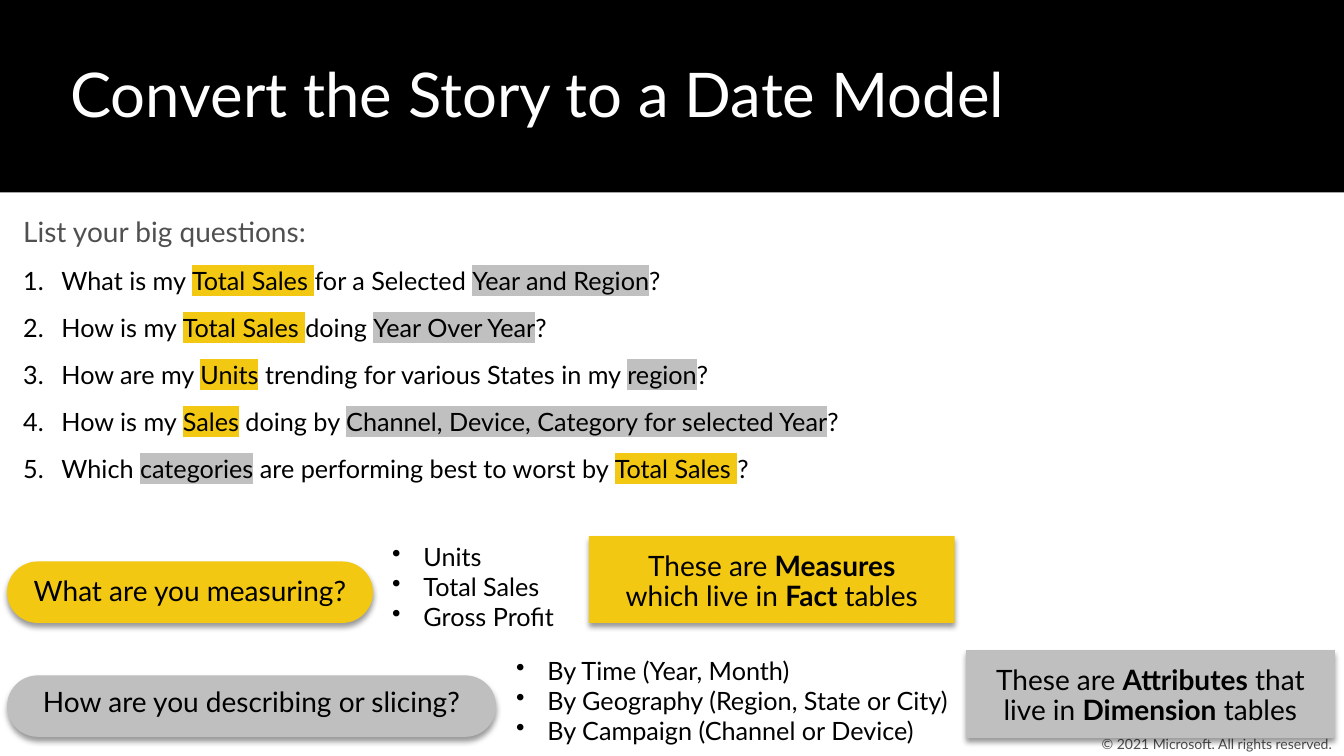
from lxml import etree
from pptx import Presentation
from pptx.dml.color import RGBColor
from pptx.enum.shapes import MSO_SHAPE
from pptx.enum.text import MSO_ANCHOR, PP_ALIGN
from pptx.oxml.ns import qn
from pptx.util import Inches, Pt

RECT, PILL = MSO_SHAPE.RECTANGLE, MSO_SHAPE.ROUNDED_RECTANGLE
TOP, MIDDLE = MSO_ANCHOR.TOP, MSO_ANCHOR.MIDDLE
LEFT, CENTER = PP_ALIGN.LEFT, PP_ALIGN.CENTER
BLACK = RGBColor(0x00, 0x00, 0x00)
WHITE = RGBColor(0xFF, 0xFF, 0xFF)
SLATE = RGBColor(0x50, 0x50, 0x50)
YELLOW = RGBColor(0xF2, 0xC8, 0x12)
GRAY = RGBColor(0xBF, 0xBF, 0xBF)
MARK_GRAY = RGBColor(0xC0, 0xC0, 0xC0)
FONT = "Lato"
ROOMY = (0.2, 0.16, 0.2, 0.16)
NONE = (0, 0, 0, 0)

TITLE = "Convert the Story to a Date Model"
COPYRIGHT = "© 2021 Microsoft. All rights reserved. "
HEADING = "List your big questions:"
MEASURE, ATTRIBUTE = YELLOW, MARK_GRAY
QUESTIONS = [
    [("What is my ", None), ("Total Sales ", MEASURE), ("for a Selected ", None),
     ("Year and Region", ATTRIBUTE), ("?", None)],
    [("How is my ", None), ("Total Sales ", MEASURE), ("doing ", None),
     ("Year Over Year", ATTRIBUTE), ("?", None)],
    [("How are my ", None), ("Units", MEASURE),
     (" trending for various States in my ", None), ("region", ATTRIBUTE), ("?", None)],
    [("How is my ", None), ("Sales", MEASURE), (" doing by ", None),
     ("Channel, Device, Category for selected Year", ATTRIBUTE), ("?", None)],
    [("Which ", None), ("categories", ATTRIBUTE),
     (" are performing best to worst by ", None), ("Total Sales ", MEASURE), ("?", None)],
]
BULLET_LISTS = [
    ((3.69, 5.21, 2.45, 1.5), ["Units", "Total Sales", "Gross Profit"]),
    ((4.92, 6.34, 4.85, 1.5), ["By Time (Year, Month)",
                               "By Geography (Region, State or City)",
                               "By Campaign (Channel or Device)"]),
]
CARDS = [
    (PILL, (0.07, 5.57, 3.63, 0.61), YELLOW, NONE, MIDDLE, 0.9,
     [("What are you measuring?", False)]),
    (PILL, (0.07, 6.7, 4.85, 0.61), GRAY, NONE, TOP, 1.0,
     [("How are you describing or slicing?", False)]),
    (RECT, (5.84, 5.32, 3.63, 0.86), YELLOW, ROOMY, TOP, 0.9,
     [("These are ", False), ("Measures", True), (" which live in ", False),
      ("Fact", True), (" tables", False)]),
    (RECT, (9.58, 6.45, 3.66, 0.87), GRAY, ROOMY, TOP, 0.9,
     [("These are ", False), ("Attributes", True), (" that live in ", False),
      ("Dimension", True), (" tables", False)]),
]


def set_frame(shape, insets, anchor=TOP):
    frame = shape.text_frame
    frame.word_wrap = True
    frame.vertical_anchor = anchor
    (frame.margin_left, frame.margin_top,
     frame.margin_right, frame.margin_bottom) = map(Inches, insets)
    return frame


def add_text_box(page, area, insets, anchor=TOP):
    return set_frame(page.shapes.add_textbox(*map(Inches, area)), insets, anchor)


def add_shape(page, kind, area, fill):
    shape = page.shapes.add_shape(kind, *map(Inches, area))
    shape.shadow.inherit = False
    shape.fill.solid()
    shape.fill.fore_color.rgb = fill
    shape.line.fill.background()
    return shape


def add_shadow(shape):
    effects = shape.element.spPr.find(qn("a:effectLst"))
    shadow = etree.SubElement(effects, qn("a:outerShdw"), blurRad=str(Pt(4)),
                              dist=str(Pt(3)), dir="5400000", algn="t", rotWithShape="0")
    color = etree.SubElement(shadow, qn("a:srgbClr"), val=str(BLACK))
    etree.SubElement(color, qn("a:alpha"), val="40000")


def next_para(frame, align=LEFT):
    first = frame.paragraphs[0]
    para = frame.add_paragraph() if first.runs else first
    para.alignment = align
    return para


def add_span(para, text, size, color=BLACK, bold=False, mark=None):
    span = para.add_run()
    span.text = text
    span.font.name = FONT
    span.font.size = Pt(size)
    span.font.bold = bold
    span.font.color.rgb = color
    if mark is not None:
        highlight = etree.Element(qn("a:highlight"))
        etree.SubElement(highlight, qn("a:srgbClr"), val=str(mark))
        span.font.fill
        span._r.rPr.find(qn("a:solidFill")).addnext(highlight)


def add_marker(para, indent, tag, **attributes):
    properties = para._p.get_or_add_pPr()
    properties.set("marL", str(Inches(indent)))
    properties.set("indent", str(-Inches(indent)))
    etree.SubElement(properties, qn(tag), **attributes)


def add_questions(page):
    frame = add_text_box(page, (0.03, 1.97, 9.01, 3.29), ROOMY)
    add_span(next_para(frame), HEADING, 20, SLATE)
    for question in QUESTIONS:
        para = next_para(frame)
        para.space_before = Pt(12)
        add_marker(para, 0.38, "a:buAutoNum", type="arabicPeriod")
        for text, mark in question:
            add_span(para, text, 18, mark=mark)


def add_bullets(page, area, items):
    frame = add_text_box(page, area, ROOMY)
    for item in items:
        para = next_para(frame)
        add_marker(para, 0.31, "a:buChar", char="•")
        add_span(para, item, 18)


def add_card(page, kind, area, fill, insets, anchor, spacing, spans):
    card = add_shape(page, kind, area, fill)
    if kind == PILL:
        card.adjustments[0] = 0.5
    add_shadow(card)
    para = next_para(set_frame(card, insets, anchor), CENTER)
    para.line_spacing = spacing
    for text, bold in spans:
        add_span(para, text, 20, bold=bold)


def main():
    deck = Presentation()
    deck.slide_width, deck.slide_height = Inches(13.33), Inches(7.5)
    page = deck.slides.add_slide(deck.slide_layouts[6])
    add_shape(page, RECT, (0, 0, 13.33, 1.91), BLACK)
    title = add_text_box(page, (0.6, 0.51, 12.29, 0.76), (0.1, 0.05, 0.1, 0.05))
    add_span(next_para(title), TITLE, 44, WHITE)
    notice = add_text_box(page, (10.58, 7.26, 3.11, 0.24), (0, 0, 0.1, 0), MIDDLE)
    add_span(next_para(notice, CENTER), COPYRIGHT, 10, SLATE)
    for area, items in BULLET_LISTS:
        add_bullets(page, area, items)
    for card in CARDS:
        add_card(page, *card)
    add_questions(page)
    deck.save("out.pptx")


if __name__ == "__main__":
    main()
